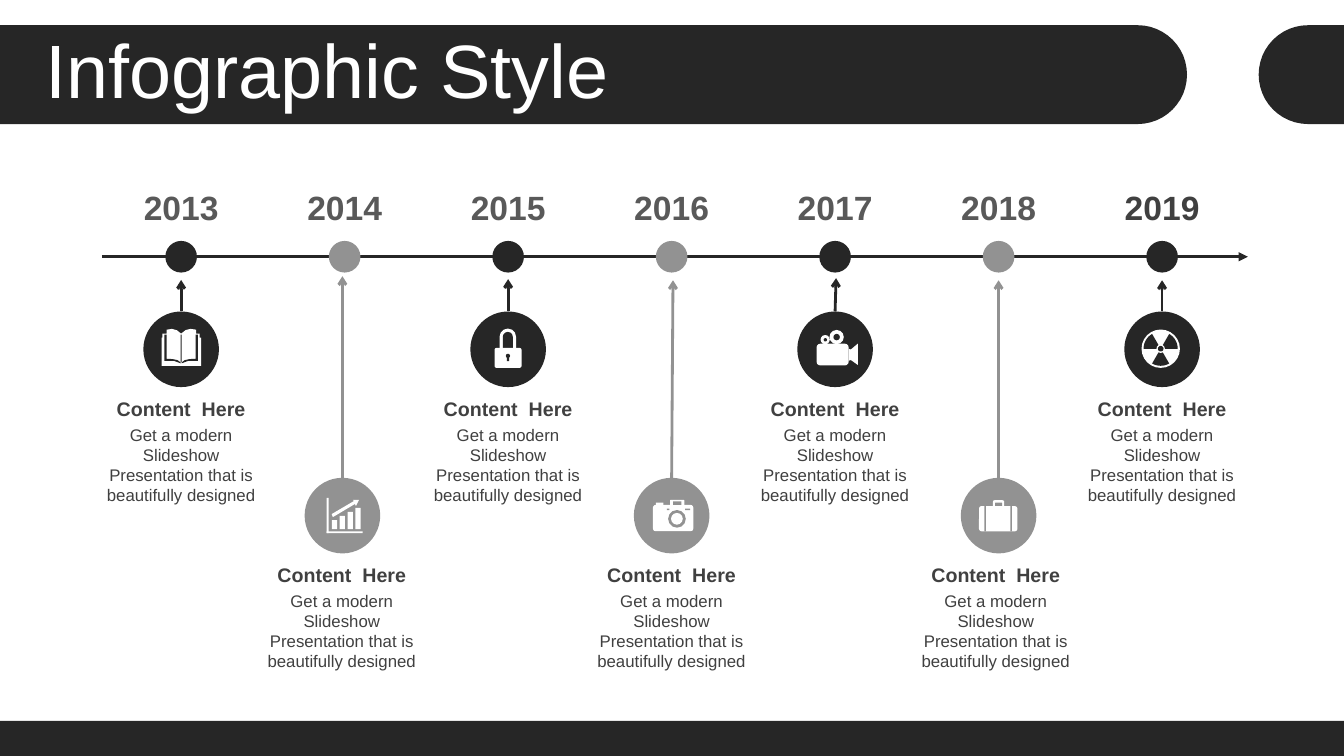
from dataclasses import dataclass
from math import cos, radians, sin
from lxml.etree import SubElement
from pptx import Presentation
from pptx.dml.color import RGBColor
from pptx.enum.shapes import MSO_CONNECTOR, MSO_SHAPE
from pptx.enum.text import MSO_ANCHOR, MSO_AUTO_SIZE, PP_ALIGN
from pptx.oxml.ns import qn
from pptx.util import Pt


@dataclass(frozen=True)
class Theme:
    font: str = "Arial"
    dark: str = "262626"
    gray: str = "929292"
    white: str = "FFFFFF"
    text: str = "404040"
    year: str = "595959"
    title_size: int = 54
    year_size: int = 24
    head_size: int = 14
    body_size: int = 12


T = Theme()


def arc(cx, cy, r, start, end, steps=24):
    angles = [radians(start + (end - start) * i / steps) for i in range(steps + 1)]
    return [(cx + r * cos(a), cy + r * sin(a)) for a in angles]


TITLE = "Infographic Style"
HEAD = "Content  Here"
BODY = "Get a modern Slideshow Presentation that is beautifully designed"

# year, icon, circle shift, text shift, arrow tip shift, arrow tip y
EVENTS = [
    ("2013", "book", 0, 0, 0, 200),
    ("2014", "chart", -1.6, -2, 0, 197.3),
    ("2015", "lock", 0, 0, 0, 199.4),
    ("2016", "camera", 0, 0, 1, 200.2),
    ("2017", "film", 0, 0, 0.7, 198.7),
    ("2018", "case", 0, -2, 0, 200.2),
    ("2019", "hazard", 0, 0, 0, 200.2),
]

COVER = [(-14, -8.3), (-13.3, -8.3), (-13.3, -11.2), (-10.4, -11.2), (-10.4, -14),
         (-6.5, -14.6), (-3, -13.6), (0, -11.2), (3.4, -13.8), (6.8, -14.6),
         (10.8, -14), (10.8, -11.2), (13.3, -11.2), (13.3, -8.3), (14.4, -8.3),
         (14.4, 11.9), (-14, 11.9)]
PAGE = [(-11.9, -10.4), (-10.4, -10.4), (-10.4, 6.8), (-6, 7), (-2.5, 7.8),
        (-0.4, 9.4), (-0.4, 10), (-5, 8.3), (-11.9, 8.3)]
TREND = [(7.6, -11.2), (11.9, -11.2), (9.7, -6.8), (9, -8.3), (-6.8, 1.1),
         (-7.6, -1.1), (8.3, -10.4)]
HORN = [(9.7, -0.4), (11.2, 0.2), (16.2, -4), (16.2, 11.2), (11.2, 7.6), (9.7, 8.3)]
BOX, ROUND, OVAL = MSO_SHAPE.RECTANGLE, MSO_SHAPE.ROUNDED_RECTANGLE, MSO_SHAPE.OVAL

# preset (None for a polygon), cut out of the icon or not, geometry, corner
ICONS = {
    "book": [(None, False, COVER), (None, True, PAGE),
             (None, True, [(-x, y) for x, y in PAGE]),
             (BOX, True, (-0.3, -10.4, 0.6, 19.6))],
    "chart": [(BOX, False, (-7.5 + 5.6 * i, 3.2 - 2.9 * i, 3.8, 6.5 + 2.9 * i))
              for i in range(4)] + [
        (BOX, False, (-11.2, -12.6, 1.4, 25.2)), (BOX, False, (-11.2, 11.2, 25.6, 1.4)),
        (None, False, TREND)],
    "lock": [(ROUND, False, (-6.1, -14.8, 11.8, 20), 0.5),
             (ROUND, True, (-3.8, -12.4, 7.2, 16), 0.5),
             (ROUND, False, (-9.7, -1, 19.3, 14.3), 0.1),
             (OVAL, True, (-1.6, 3.2, 3, 3)), (BOX, True, (-0.9, 5.2, 1.6, 3.2))],
    "camera": [(ROUND, False, (-13.3, -7.6, 28.8, 18.7), 0.1),
               (BOX, False, (-11.2, -9.2, 5.4, 3)),
               (ROUND, False, (-1.1, -11.2, 10.2, 5), 0.1),
               (BOX, True, (1.1, -10.2, 5.8, 2.6)),
               (OVAL, True, (-2.5, -4, 12.6, 12.6)),
               (OVAL, False, (-0.4, -1.9, 8.4, 8.4)),
               (BOX, True, (-3.4, -5, 1.8, 1.1)), (BOX, True, (9.7, -5, 3.6, 1.1))],
    "film": [(ROUND, False, (-13.3, -4, 23, 15.6), 0.18), (None, False, HORN),
             (OVAL, False, (-4, -13.8, 10.2, 10.2)), (OVAL, True, (-1.2, -11, 4.6, 4.6)),
             (OVAL, False, (-10.4, -10.2, 6.6, 6.6)), (OVAL, True, (-8.2, -8, 2.4, 2.4))],
    "case": [(ROUND, False, (-4, -11, 8, 7), 0.15), (ROUND, True, (-2.5, -9.2, 5, 2.4), 0.1),
             (ROUND, False, (-14, -6.8, 27.4, 18), 0.1),
             (BOX, True, (-10.2, -6.8, 1.2, 18)), (BOX, True, (8.4, -6.8, 1.2, 18))],
    "hazard": [(OVAL, False, (-14.7, -14.1, 27.4, 27.4))] + [
        (None, True, [(-1, -0.4)] + arc(-1, -0.4, 12.2, a, a + 60)) for a in (60, 180, 300)
    ] + [(OVAL, False, (-4, -3.4, 6, 6)), (OVAL, True, (-3, -2.4, 4, 4))],
}


def paint(sp, color):
    sp.shadow.inherit = False
    sp.fill.solid()
    sp.fill.fore_color.rgb = RGBColor.from_string(color)
    sp.line.fill.background()


def add_shape(s, kind, x, y, w, h, color, corner=None):
    sp = s.shapes.add_shape(kind, Pt(x), Pt(y), Pt(w), Pt(h))
    if corner is not None:
        sp.adjustments[0] = corner
    paint(sp, color)


def add_polygon(s, points, color):
    pts = [(Pt(x), Pt(y)) for x, y in points]
    fb = s.shapes.build_freeform(*pts[0], scale=1.0)
    fb.add_line_segments(pts[1:], close=True)
    paint(fb.convert_to_shape(), color)


def add_line(s, x1, y1, x2, y2, color, width, head):
    ln = s.shapes.add_connector(MSO_CONNECTOR.STRAIGHT, Pt(x1), Pt(y1), Pt(x2), Pt(y2))
    ln.line.color.rgb = RGBColor.from_string(color)
    ln.line.width = Pt(width)
    SubElement(ln.line._get_or_add_ln(), qn("a:tailEnd"), type=head)
    SubElement(ln._element.spPr, qn("a:effectLst"))


def write(tf, text, size, color, bold=False, align=PP_ALIGN.CENTER, anchor=MSO_ANCHOR.MIDDLE):
    tf.word_wrap = True
    tf.auto_size = MSO_AUTO_SIZE.NONE
    tf.vertical_anchor = anchor
    p = tf.paragraphs[0]
    p.alignment = align
    r = p.add_run()
    r.text = text
    r.font.name, r.font.size, r.font.bold = T.font, Pt(size), bold
    r.font.color.rgb = RGBColor.from_string(color)
    return p


def add_text(s, cx, y, w, h, *args, **kwargs):
    tb = s.shapes.add_textbox(Pt(cx - w / 2), Pt(y), Pt(w), Pt(h))
    write(tb.text_frame, *args, **kwargs)


def add_icon(s, name, cx, cy, tone):
    for kind, cut, geometry, *corner in ICONS[name]:
        color = tone if cut else T.white
        if kind is None:
            add_polygon(s, [(cx + x, cy + y) for x, y in geometry], color)
        else:
            x, y, w, h = geometry
            add_shape(s, kind, cx + x, cy + y, w, h, color, *corner)


def add_frame(s):
    top, r = 18, 35.3
    cy = top + r
    add_polygon(s, [(0, top)] + arc(812.6, cy, r, -90, 90) + [(0, top + 2 * r)], T.dark)
    add_polygon(s, [(960, top)] + arc(934.4, cy, r, 270, 90) + [(960, top + 2 * r)], T.dark)
    add_shape(s, BOX, 0, 515, 960, 25, T.dark)
    title = s.shapes.title
    title.left, title.top, title.width, title.height = Pt(25.2), Pt(24.5), Pt(911.5), Pt(57)
    p = write(title.text_frame, TITLE, T.title_size, T.white, align=PP_ALIGN.LEFT)
    p.line_spacing = 0.9
    s.shapes._spTree.append(title._element)


def add_timeline(s):
    first, pitch, axis, dot, disc = 129.4, 116.78, 183.4, 22.6, 54
    add_line(s, 72.7, axis, 891.4, axis, T.dark, 2.25, "triangle")
    for i, (year, icon, shift, text_shift, tip_shift, tip) in enumerate(EVENTS):
        x = first + pitch * i
        tone, top = (T.gray, 341.3) if i % 2 else (T.dark, 222.5)
        cx, tx = x + shift, x + text_shift
        add_shape(s, OVAL, x - dot / 2, axis - dot / 2, dot, dot, tone)
        add_text(s, x, 129.6, 73.4, 36, year, T.year_size,
                 T.text if i == len(EVENTS) - 1 else T.year, True)
        add_line(s, cx, top, cx + tip_shift, tip, tone, 2, "arrow")
        add_shape(s, OVAL, cx - disc / 2, top, disc, disc, tone)
        add_icon(s, icon, cx, top + disc / 2, tone)
        add_text(s, tx, top + 57, 122.4, 24.5, HEAD, T.head_size, T.text, True)
        add_text(s, tx, top + 77, 122.4, 65.5, BODY, T.body_size, T.text,
                 anchor=MSO_ANCHOR.TOP)


def main():
    prs = Presentation()
    prs.slide_width, prs.slide_height = Pt(960), Pt(540)
    s = prs.slides.add_slide(prs.slide_layouts[5])
    add_frame(s)
    add_timeline(s)
    prs.save("out.pptx")


if __name__ == "__main__":
    main()
